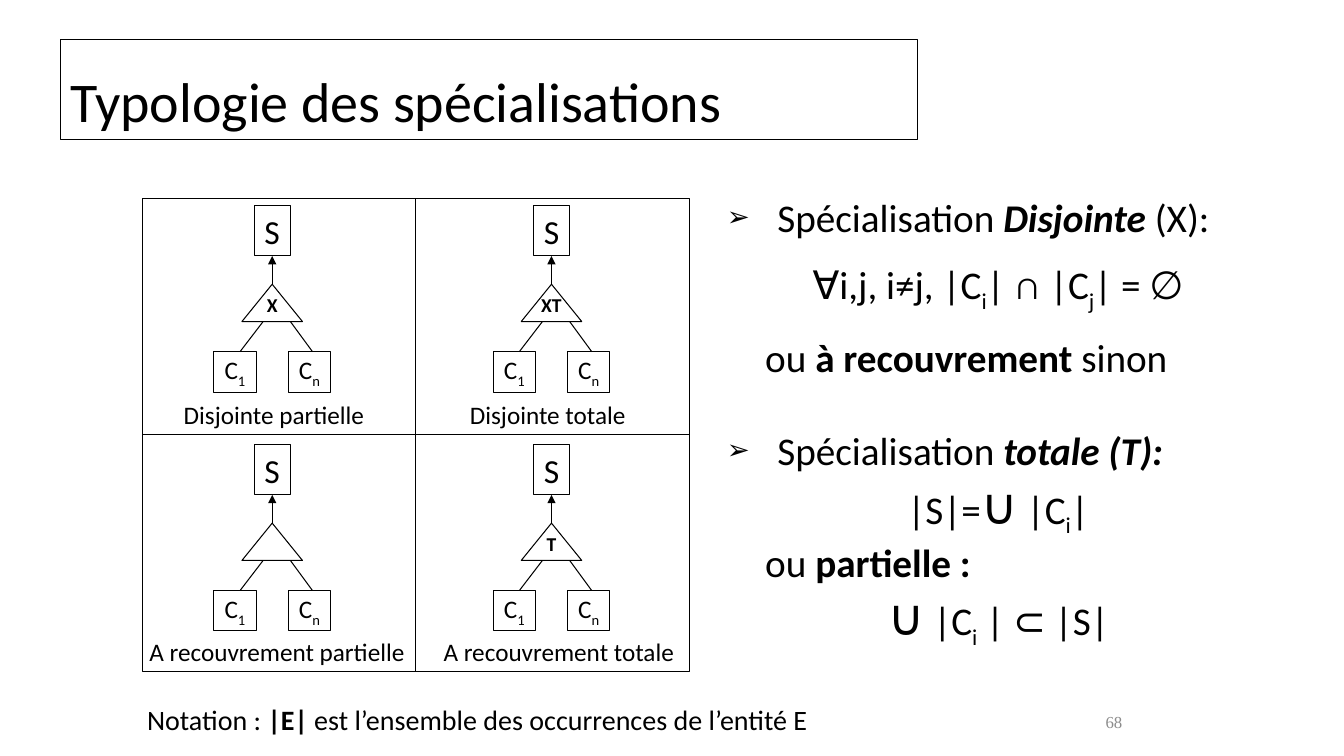
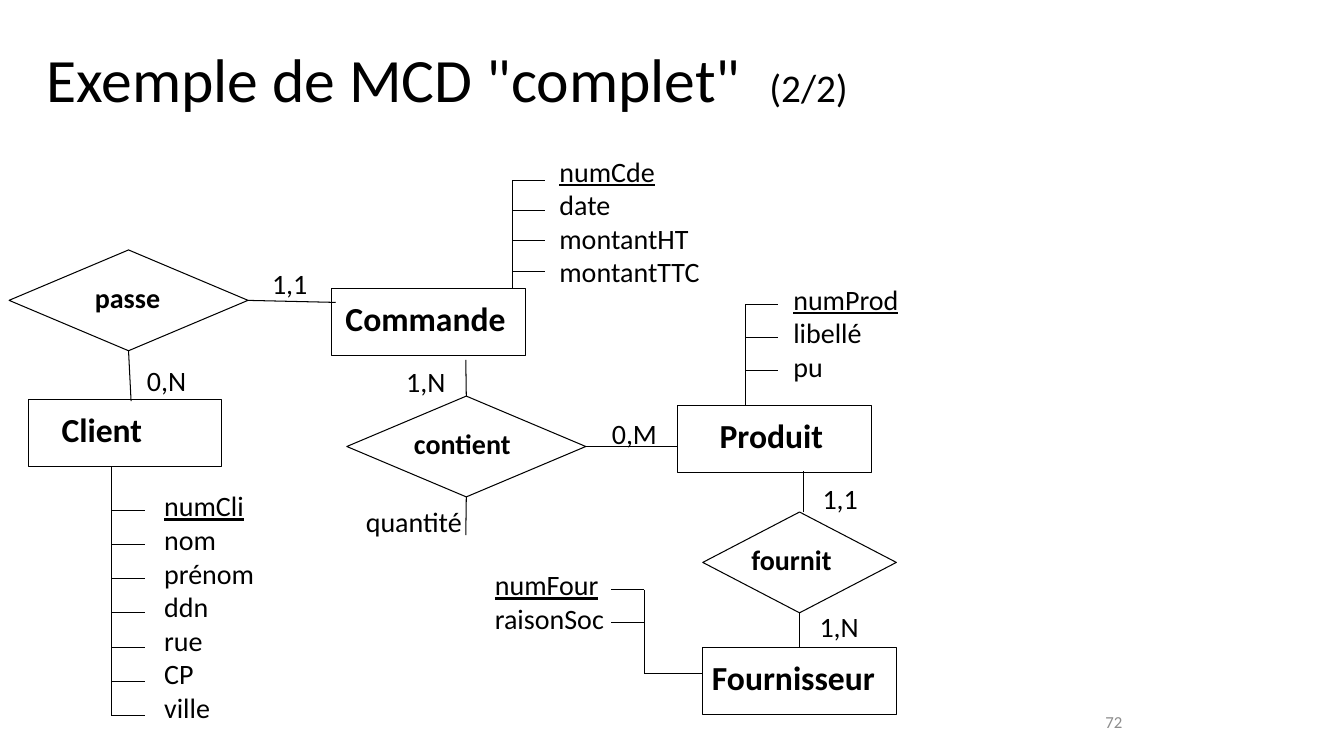
from itertools import product

from lxml.etree import SubElement
from pptx import Presentation
from pptx.dml.color import RGBColor
from pptx.enum.shapes import MSO_CONNECTOR, MSO_SHAPE
from pptx.enum.text import MSO_ANCHOR, MSO_AUTO_SIZE, PP_ALIGN
from pptx.oxml.ns import qn
from pptx.util import Inches, Pt

COLORS = {"ink": "000000", "number": "8C8C8C"}
FONT = "Calibri"
CELL = 0.1  # inches; the slide is a grid of 133.3 columns by 75 rows
TOP, LEFT, BOTTOM, RIGHT = 0, 1, 2, 3  # connection sites
TITLE_ONLY, TITLE_AND_BODY = 5, 1  # layouts


def cells(*counts):
    return [Inches(count * CELL) for count in counts]


def color(name):
    return RGBColor.from_string(COLORS[name])


# Text: a span is a string, or a string with style letters
# (b bold, i italic, u underlined, s subscript, l large)
def write(para, spans, size, align=PP_ALIGN.LEFT, ink="ink", font=FONT):
    para.alignment = align
    for item in spans:
        text, style = (item, "") if isinstance(item, str) else item
        span = para.add_run()
        span.text = text
        span.font.name = font
        span.font.size = Pt(36 if "l" in style else size)
        span.font.color.rgb = color(ink)
        span.font.bold = "b" in style
        span.font.italic = "i" in style
        span.font.underline = "u" in style
        if "s" in style:
            span._r.get_or_add_rPr().set("baseline", "-25000")


def label(page, area, spans, size, align=PP_ALIGN.LEFT, **look):
    box = page.shapes.add_textbox(*cells(*area))
    box.text_frame.word_wrap = True
    write(box.text_frame.paragraphs[0], spans, size, align, **look)
    return box


# Outlines and lines
def outline(page, kind, area, spans=(), size=18, raised=0.0, shifted=0.0):
    shape = page.shapes.add_shape(kind, *cells(*area))
    shape.shadow.inherit = False
    shape.fill.background()
    shape.line.color.rgb = color("ink")
    shape.line.width = Pt(0.75)
    frame = shape.text_frame
    frame.word_wrap = False
    frame.vertical_anchor = MSO_ANCHOR.MIDDLE
    frame.margin_left = frame.margin_top = 0
    frame.margin_right, frame.margin_bottom = cells(2 * shifted, 2 * raised)
    write(frame.paragraphs[0], spans, size, PP_ALIGN.CENTER)
    return shape


def line(page, start, end):
    connector = page.shapes.add_connector(
        MSO_CONNECTOR.STRAIGHT, *cells(*start), *cells(*end))
    connector.line.color.rgb = color("ink")
    connector.line.width = Pt(0.75)
    SubElement(connector._element.spPr, qn("a:effectLst"))
    return connector


def link(page, shape, site, end):
    connector = line(page, (0, 0), end)
    connector.begin_connect(shape, site)
    return connector


def add_arrowhead(connector):
    SubElement(connector.line._get_or_add_ln(), qn("a:tailEnd"), type="triangle")


# Placeholders and page number
def place(holder, area, anchor):
    holder.left, holder.top, holder.width, holder.height = cells(*area)
    frame = holder.text_frame
    frame.auto_size = MSO_AUTO_SIZE.NONE
    frame.word_wrap = True
    frame.vertical_anchor = anchor
    return frame


def add_page(deck, layout, number, number_font=FONT):
    page = deck.slides.add_slide(deck.slide_layouts[layout])
    box = label(page, (106.5, 68.3, 5.8, 6.7), [number], 12, PP_ALIGN.RIGHT,
                ink="number", font=number_font)
    box.text_frame.vertical_anchor = MSO_ANCHOR.MIDDLE
    return page


def add_title(page, area, spans, size, anchor=MSO_ANCHOR.MIDDLE):
    frame = place(page.shapes.title, area, anchor)
    write(frame.paragraphs[0], spans, size)
    return frame.paragraphs[0]


def set_tab(para, position):
    tabs = SubElement(para._p.get_or_add_pPr(), qn("a:tabLst"))
    SubElement(tabs, qn("a:tab"), pos=str(Inches(position * CELL)), algn="l")


def set_layout(para, bullet, indent, space):
    properties = para._p.get_or_add_pPr()
    hanging = Inches(indent * CELL)
    properties.set("marL", str(hanging))
    properties.set("indent", str(-hanging if bullet else 0))
    if bullet:
        SubElement(properties, qn("a:buSzPct"), val="70000")
        SubElement(properties, qn("a:buChar"), char="➢")
    else:
        SubElement(properties, qn("a:buNone"))
    para.space_before = Pt(space)


# Slide 1: the four kinds of specialisation
def add_tree(page, left, top, mark):
    parent = outline(page, MSO_SHAPE.RECTANGLE, (left + 4, top, 3.6, 5), ["S"], 24)
    triangle = outline(page, MSO_SHAPE.ISOSCELES_TRIANGLE,
                       (left + 2.8, top + 7.8, 6, 3.7))
    arrow = link(page, triangle, TOP, (0, 0))
    arrow.end_connect(parent, BOTTOM)
    add_arrowhead(arrow)
    if mark:
        label(page, (left + 2.3, top + 8.2, 7, 3.4), [(mark, "b")], 14,
              PP_ALIGN.CENTER)
    for index, offset, head, foot in (("1", 0, 2.6, 4.9), ("n", 7.4, 9.8, 7.6)):
        outline(page, MSO_SHAPE.RECTANGLE, (left + offset, top + 14.5, 4.2, 4),
                ["C", (index, "s")])
        line(page, (left + head, top + 14.5), (left + foot, top + 11.5))


def add_matrix(page):
    left, top, width, height = 14.1, 19.7, 27.15, 23.45
    outline(page, MSO_SHAPE.RECTANGLE, (left, top, 2 * width, 2 * height))
    line(page, (left + width, top), (left + width, top + 2 * height))
    line(page, (left, top + height), (left + 2 * width, top + height))
    # mark, caption, caption's distance from the middle of its cell
    kinds = [("X", "Disjointe partielle", -0.5), ("XT", "Disjointe totale", -0.5),
             ("", "A recouvrement partielle", -0.2),
             ("T", "A recouvrement totale", 0.6)]
    for (row, column), (mark, caption, shift) in zip(product(range(2), repeat=2), kinds):
        add_tree(page, 21.2 + 27.7 * column, 20.4 + 23.7 * row, mark)
        label(page, (left + width * column + shift - 1.5,
                     top + height * (row + 1) - 4, width + 3, 4),
              [caption], 18, PP_ALIGN.CENTER)


def add_definitions(page):
    frame = place(page.placeholders[1], (71.1, 18.7, 55.8, 50.6), MSO_ANCHOR.TOP)
    center, left = PP_ALIGN.CENTER, PP_ALIGN.LEFT
    # bullet, indent, space before, alignment, spans
    rows = [
        (True, 5, 0, left, ["Spécialisation ", ("Disjointe", "bi"), " (X):"]),
        (False, 0, 14, center, ["∀i,j, i≠j, |C", ("i", "s"), "| ∩ |C", ("j", "s"),
                                "| = ∅"]),
        (False, 3.8, 14, left, ["ou ", ("à recouvrement ", "b"), "sinon"]),
        (True, 5, 33, left, ["Spécialisation ", ("totale (T):", "bi")]),
        (False, 0, 0, center, ["|S|=", ("∪", "l"), " |C", ("i", "s"), "|"]),
        (False, 3.8, 0, left, ["ou ", ("partielle :", "b")]),
        (False, 0, 0, center, [("∪", "l"), " |C", ("i", "s"), " | ⊂ |S|"]),
    ]
    for index, (bullet, indent, space, align, spans) in enumerate(rows):
        para = frame.add_paragraph() if index else frame.paragraphs[0]
        set_layout(para, bullet, indent, space)
        write(para, spans, 28, align)


def add_typology(deck):
    page = add_page(deck, TITLE_AND_BODY, "68", "Times New Roman")
    add_title(page, (6, 3.9, 85, 9.9), ["Typologie des spécialisations"], 40,
              MSO_ANCHOR.BOTTOM)
    page.shapes.title.line.color.rgb = color("ink")
    page.shapes.title.line.width = Pt(0.75)
    add_definitions(page)
    add_matrix(page)
    label(page, (13.6, 69.2, 70.8, 4.4),
          ["Notation : ", ("|E| ", "b"),
           "est l’ensemble des occurrences de l’entité E"], 20)


# Slide 2: entity and association diagram
def add_entity(page, left, top, name, shifted):
    return outline(page, MSO_SHAPE.RECTANGLE, (left, top, 19.2, 6.7),
                   [(name, "b")], 24, raised=0.4, shifted=shifted)


def add_association(page, left, top, width, name, shifted):
    return outline(page, MSO_SHAPE.DIAMOND, (left, top, width, 10),
                   [(name, "b")], 20, raised=0.3, shifted=shifted)


def add_attributes(page, names, corner, stem, stem_root, first, step, tick=3.3):
    box = label(page, (*corner, 18, 3.4 * len(names) + 1), [(names[0], "u")], 20)
    for name in names[1:]:
        write(box.text_frame.add_paragraph(), [name], 20)
    levels = [first + step * index for index in range(len(names))]
    far = max(levels, key=lambda level: abs(level - stem_root))
    line(page, (stem, stem_root), (stem, far))
    for level in levels:
        line(page, (stem, level), (stem + tick, level))


def add_diagram(deck):
    page = add_page(deck, TITLE_ONLY, "72")
    title = add_title(page, (3.6, 4.3, 89, 7.8), ["Exemple de MCD \"complet\""], 44)
    set_tab(title, 71.7)
    title.line_spacing = 0.9
    write(title, ["\t(2/2)"], 28)

    add_entity(page, 2.8, 39.6, "Client", 2.3)
    add_entity(page, 32.9, 28.6, "Commande", 0.3)
    add_entity(page, 67.2, 40.2, "Produit", 0.3)
    supplier = add_entity(page, 69.7, 64.2, "Fournisseur", 0.6)
    orders = add_association(page, 0.9, 24.8, 23.7, "passe", 0.1)
    contains = add_association(page, 34.4, 39.3, 23.7, "contient", 0.4)
    supplies = add_association(page, 69.7, 50.8, 19.2, "fournit", 0.8)

    # Links from the associations to the entities
    link(page, orders, BOTTOM, (13, 39.8))
    link(page, orders, RIGHT, (33.3, 30))
    link(page, contains, TOP, (46.2, 35.7))
    link(page, contains, RIGHT, (67.2, 44.3))
    link(page, contains, BOTTOM, (46.2, 53.1))
    line(page, (79.7, 50.8), (79.7, 46.7))
    link(page, supplies, BOTTOM, (79.3, 64.2)).end_connect(supplier, TOP)
    line(page, (69.7, 66.8), (63.9, 66.8))

    # Short strokes on the top edges of two entities
    for column, row in ((42.9, 28.6), (77.2, 40.2)):
        line(page, (column, row), (column + 3.4, row))

    # Cardinalities and the attribute of the association
    for text, column, row in (
            ("1,1", 26, 25.9), ("0,N", 13.6, 35.6), ("1,N", 39.3, 35.7),
            ("0,M", 59.7, 40.8), ("1,1", 80.6, 47.3), ("1,N", 80.3, 60),
            ("quantité", 35.3, 49.6)):
        label(page, (column, row, 13, 4.4), [text], 20)

    add_attributes(page, ["numCli", "nom", "prénom", "ddn", "rue", "CP", "ville"],
                   (15.3, 48), 11.1, 46.3, 50.6, 3.4)
    add_attributes(page, ["numCde", "date", "montantHT", "montantTTC"],
                   (54.5, 14.8), 50.8, 28.6, 17.9, 3)
    add_attributes(page, ["numProd", "libellé", "pu"],
                   (77.7, 27.5), 73.9, 40.2, 30.2, 3.3)
    add_attributes(page, ["numFour", "raisonSoc"],
                   (48.1, 55.8), 63.9, 66.8, 58.5, 3.3, tick=-3.3)


def main():
    deck = Presentation()
    deck.slide_width, deck.slide_height = Inches(13.33), Inches(7.5)
    add_typology(deck)
    add_diagram(deck)
    deck.save("out.pptx")


if __name__ == "__main__":
    main()
